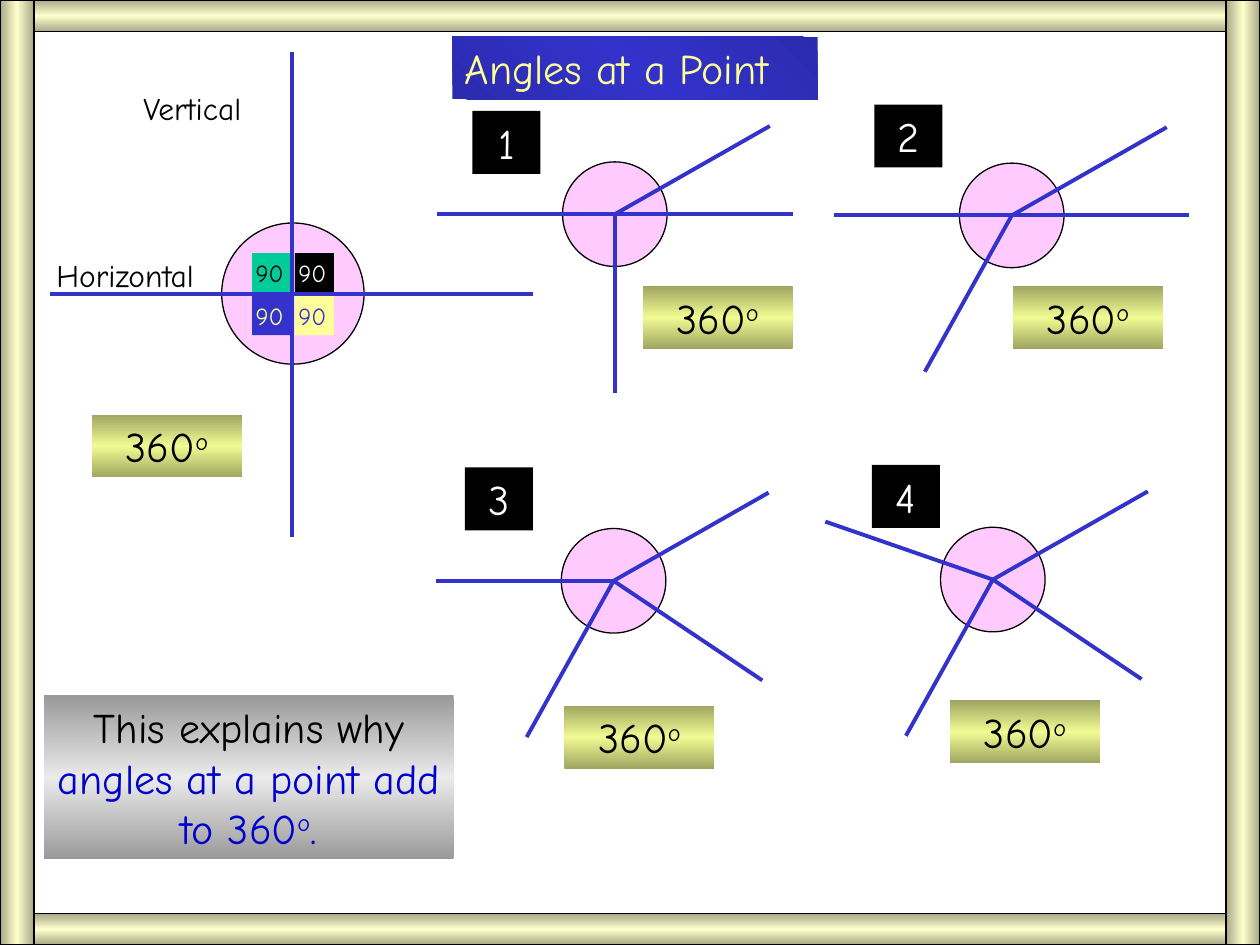
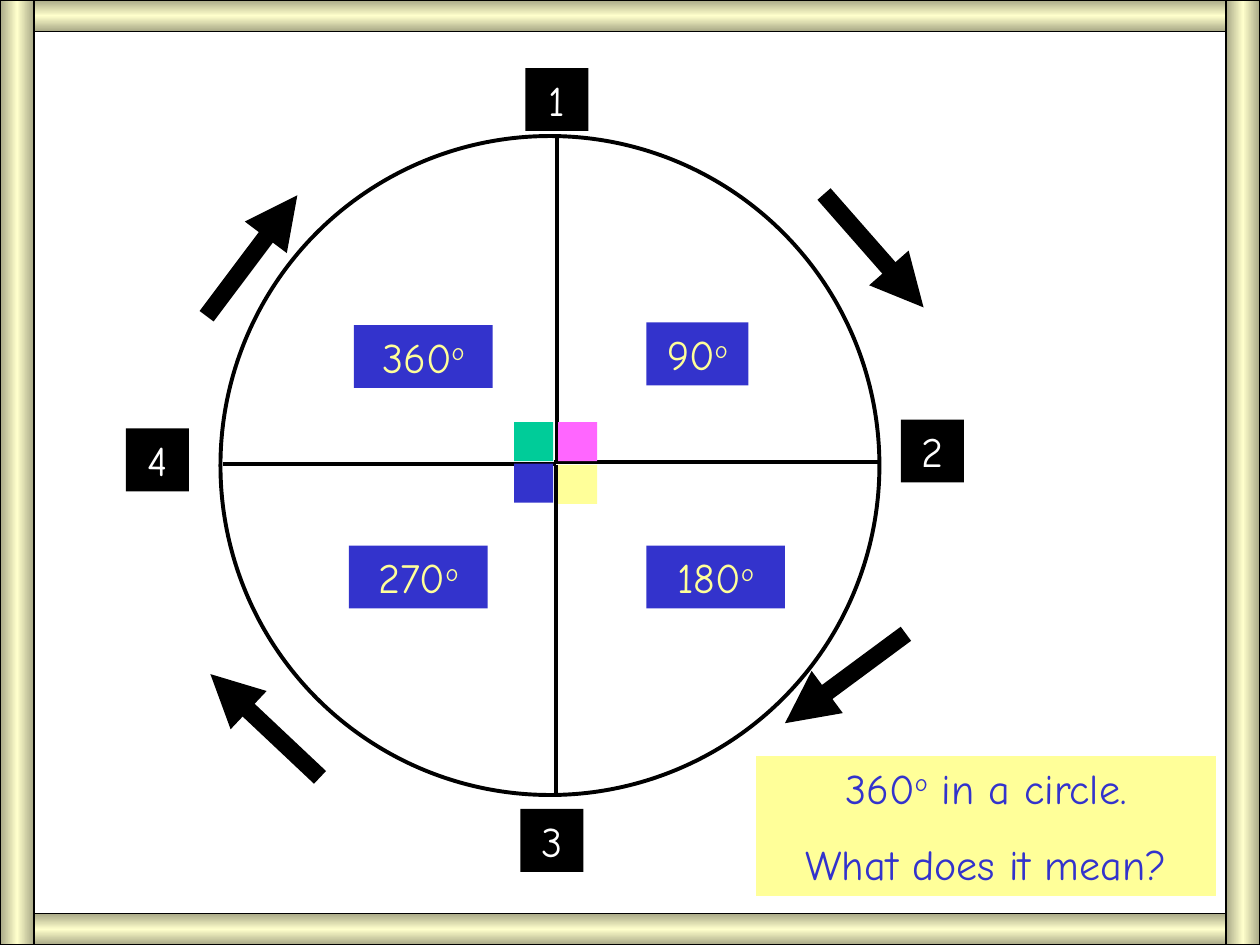
from copy import deepcopy

from lxml import etree
from pptx import Presentation
from pptx.dml.color import RGBColor
from pptx.enum.shapes import MSO_CONNECTOR, MSO_SHAPE
from pptx.enum.text import MSO_ANCHOR, PP_ALIGN
from pptx.oxml.ns import qn
from pptx.util import Inches, Pt

RECTANGLE, ELLIPSE = MSO_SHAPE.RECTANGLE, MSO_SHAPE.OVAL
STRAIGHT = MSO_CONNECTOR.STRAIGHT
TOP = MSO_ANCHOR.TOP
LEFT, CENTER = PP_ALIGN.LEFT, PP_ALIGN.CENTER

FONT = "Comic Neue"
BLACK = RGBColor(0x00, 0x00, 0x00)
WHITE = RGBColor(0xFF, 0xFF, 0xFF)
BLUE = RGBColor(0x33, 0x33, 0xCC)
DARK_BLUE = RGBColor(0x2B, 0x2B, 0xAF)
TEXT_BLUE = RGBColor(0x00, 0x00, 0xCC)
YELLOW = RGBColor(0xFF, 0xFF, 0x99)
GREEN = RGBColor(0x00, 0xCC, 0x99)
PINK = RGBColor(0xFF, 0x99, 0xFF)
MAGENTA = RGBColor(0xFF, 0x66, 0xFF)

# Gradients: edge colour, middle colour, angle
TITLE_FILL = (DARK_BLUE, BLUE, 225)
SUM_FILL = (RGBColor(0x9F, 0xA5, 0x61), RGBColor(0xF1, 0xFB, 0x93), 90)
GREY_FILL = (RGBColor(0x9A, 0x9A, 0x9A), RGBColor(0xEA, 0xEA, 0xEA), 90)
FRAME_EDGE = RGBColor(0xA8, 0xA8, 0x86)
FRAME_MIDDLE = RGBColor(0xFF, 0xFF, 0xCC)


def add_box(slide, kind, place, fill=None, line=0, paragraphs=(), size=24,
            align=CENTER, opacity=100):
    """Add a shape; paragraphs are lists of (text, colour), with "o" raised as a degree sign."""
    box = slide.shapes.add_shape(kind, *[Inches(value) for value in place])
    box.shadow.inherit = False
    if fill is None:
        box.fill.background()
    elif isinstance(fill, RGBColor):
        box.fill.solid()
        box.fill.fore_color.rgb = fill
        if opacity < 100:
            color = box._element.spPr.find(".//" + qn("a:srgbClr"))
            etree.SubElement(color, qn("a:alpha")).set("val", str(opacity * 1000))
    else:
        edge, middle, angle = fill
        box.fill.gradient()
        box.fill.gradient_angle = angle
        stop_list = box._element.spPr.find(".//" + qn("a:gsLst"))
        stop_list.append(deepcopy(stop_list[0]))
        for stop, color, position in zip(box.fill.gradient_stops, (edge, middle, edge), (0, 0.5, 1)):
            stop.color.rgb = color
            stop.position = position
    if line:
        box.line.color.rgb = BLACK
        box.line.width = Pt(line)
    else:
        box.line.fill.background()

    frame = box.text_frame
    frame.word_wrap = True
    frame.vertical_anchor = TOP
    for index, runs in enumerate(paragraphs):
        para = frame.add_paragraph() if index else frame.paragraphs[0]
        para.alignment = align
        if index:
            para.space_before = Pt(15)
        for text, color in runs:
            span = para.add_run()
            span.text = text
            span.font.name = FONT
            span.font.size = Pt(size)
            span.font.color.rgb = color
            if text == "o":
                span._r.get_or_add_rPr().set("baseline", "30000")


def add_line(slide, start, end, color, width=2.25, arrow=False):
    ends = [Inches(value) for value in (*start, *end)]
    connector = slide.shapes.add_connector(STRAIGHT, *ends)
    connector.line.color.rgb = color
    connector.line.width = Pt(width)
    properties = connector._element.spPr
    if arrow:
        etree.SubElement(properties.find(qn("a:ln")), qn("a:tailEnd")).set("type", "triangle")
    etree.SubElement(properties, qn("a:effectLst"))


deck = Presentation()
deck.slide_width, deck.slide_height = Inches(10), Inches(7.5)
points_slide, circle_slide = [deck.slides.add_slide(deck.slide_layouts[6]) for _ in range(2)]

# Slide 1: angles at a point
add_box(points_slide, RECTANGLE, (3.59, 0.29, 2.9, 0.5), TITLE_FILL,
        paragraphs=[[("Angles at a Point", YELLOW)]], align=LEFT)

# Four right angles where the vertical and the horizontal cross
add_box(points_slide, ELLIPSE, (1.76, 1.77, 1.13, 1.12), PINK, 0.75, opacity=50)
for x, y, fill, color in [(2, 2.01, GREEN, BLACK), (2.34, 2.01, BLACK, WHITE),
                          (2, 2.35, BLUE, YELLOW), (2.34, 2.35, YELLOW, BLUE)]:
    add_box(points_slide, RECTANGLE, (x, y, 0.31, 0.31), fill)
    add_box(points_slide, RECTANGLE, (x - 0.07, y - 0.01, 0.49, 0.34),
            paragraphs=[[("90", color)]], size=14, align=LEFT)
for end in [(2.32, 0.41), (4.23, 2.33), (2.32, 4.26), (0.4, 2.33)]:
    add_line(points_slide, (2.32, 2.33), end, BLUE)
for label, place in [("Vertical", (1.04, 0.66, 1.17, 0.4)),
                     ("Horizontal", (0.35, 1.98, 1.6, 0.4))]:
    add_box(points_slide, RECTANGLE, place, paragraphs=[[(label, BLACK)]], size=18, align=LEFT)

# Rays as offsets from the point where they meet
RIGHT_RAY, LEFT_RAY, DOWN_RAY = (1.41, 0), (-1.41, 0), (0, 1.42)
UP_RIGHT, UP_LEFT = (1.23, -0.7), (-1.33, -0.46)
DOWN_RIGHT, DOWN_LEFT = (1.18, 0.79), (-0.69, 1.24)
DIAMETER = 0.83
point_diagrams = [
    ((4.88, 1.7), (3.75, 0.88), [UP_RIGHT, RIGHT_RAY, LEFT_RAY, DOWN_RAY]),
    ((8.03, 1.71), (6.94, 0.83), [UP_RIGHT, RIGHT_RAY, LEFT_RAY, DOWN_LEFT]),
    ((4.87, 4.61), (3.69, 3.71), [UP_RIGHT, DOWN_RIGHT, LEFT_RAY, DOWN_LEFT]),
    ((7.88, 4.6), (6.92, 3.69), [UP_LEFT, UP_RIGHT, DOWN_RIGHT, DOWN_LEFT]),
]
for number, ((x, y), badge, rays) in enumerate(point_diagrams, 1):
    add_box(points_slide, ELLIPSE, (x - DIAMETER / 2, y - DIAMETER / 2, DIAMETER, DIAMETER),
            PINK, 0.75, opacity=50)
    for across, down in rays:
        add_line(points_slide, (x, y), (x + across, y + down), BLUE)
    add_box(points_slide, RECTANGLE, (*badge, 0.54, 0.5), BLACK,
            paragraphs=[[(str(number), WHITE)]])

for x, y in [(0.73, 3.29), (5.1, 2.27), (8.04, 2.27), (4.48, 5.6), (7.54, 5.56)]:
    add_box(points_slide, RECTANGLE, (x, y, 1.19, 0.5), SUM_FILL,
            paragraphs=[[("360", BLACK), ("o", BLACK)]])
add_box(points_slide, RECTANGLE, (0.35, 5.52, 3.25, 1.3), GREY_FILL, paragraphs=[[
    ("This explains why ", BLACK), ("angles at a point add to 360", TEXT_BLUE),
    ("o", TEXT_BLUE), (".", TEXT_BLUE)]])

# Slide 2: quarter turns around a circle
add_box(circle_slide, ELLIPSE, (1.75, 1.08, 5.23, 5.23), line=2.25)
add_box(circle_slide, RECTANGLE, (6, 6, 3.65, 1.11), YELLOW, paragraphs=[
    [("360", BLUE), ("o", BLUE), (" in a circle.", BLUE)],
    [("What does it mean?", BLUE)]])

spokes = [((4.42, 1.08), (4.42, 3.67), (4.17, 0.54)),
          ((6.99, 3.67), (4.4, 3.67), (7.15, 3.33)),
          ((4.41, 6.29), (4.41, 3.69), (4.13, 6.42)),
          ((1.77, 3.68), (4.41, 3.68), (1, 3.4))]
for number, (rim, hub, badge) in enumerate(spokes, 1):
    add_line(circle_slide, rim, hub, BLACK)
    add_box(circle_slide, RECTANGLE, (*badge, 0.5, 0.5), BLACK,
            paragraphs=[[(str(number), WHITE)]])

# Corner square, its colour, arrow start and end, label place
quarters = [
    ((4.43, 3.35), MAGENTA, (6.54, 1.54), (7.33, 2.44), (5.13, 2.56, 0.81, 0.5)),
    ((4.43, 3.69), YELLOW, (7.19, 5.03), (6.23, 5.74), (5.13, 4.33, 1.1, 0.5)),
    ((4.08, 3.68), BLUE, (2.54, 6.17), (1.67, 5.35), (2.77, 4.33, 1.1, 0.5)),
    ((4.08, 3.35), GREEN, (1.64, 2.51), (2.36, 1.55), (2.81, 2.58, 1.1, 0.5)),
]
for turn, (corner, color, start, end, label_place) in enumerate(quarters, 1):
    add_box(circle_slide, RECTANGLE, (*corner, 0.31, 0.31), color)
    add_line(circle_slide, start, end, BLACK, 10, arrow=True)
    add_box(circle_slide, RECTANGLE, label_place, BLUE,
            paragraphs=[[(str(90 * turn), YELLOW), ("o", YELLOW)]])

# Frame around both slides
for slide in deck.slides:
    for place, angle in [((0, 0, 10, 0.25), 90), ((0, 7.25, 10, 0.25), 90),
                         ((9.73, 0, 0.27, 7.5), 180), ((0, 0, 0.27, 7.5), 180)]:
        add_box(slide, RECTANGLE, place, (FRAME_EDGE, FRAME_MIDDLE, angle), 0.75)

deck.save("out.pptx")
